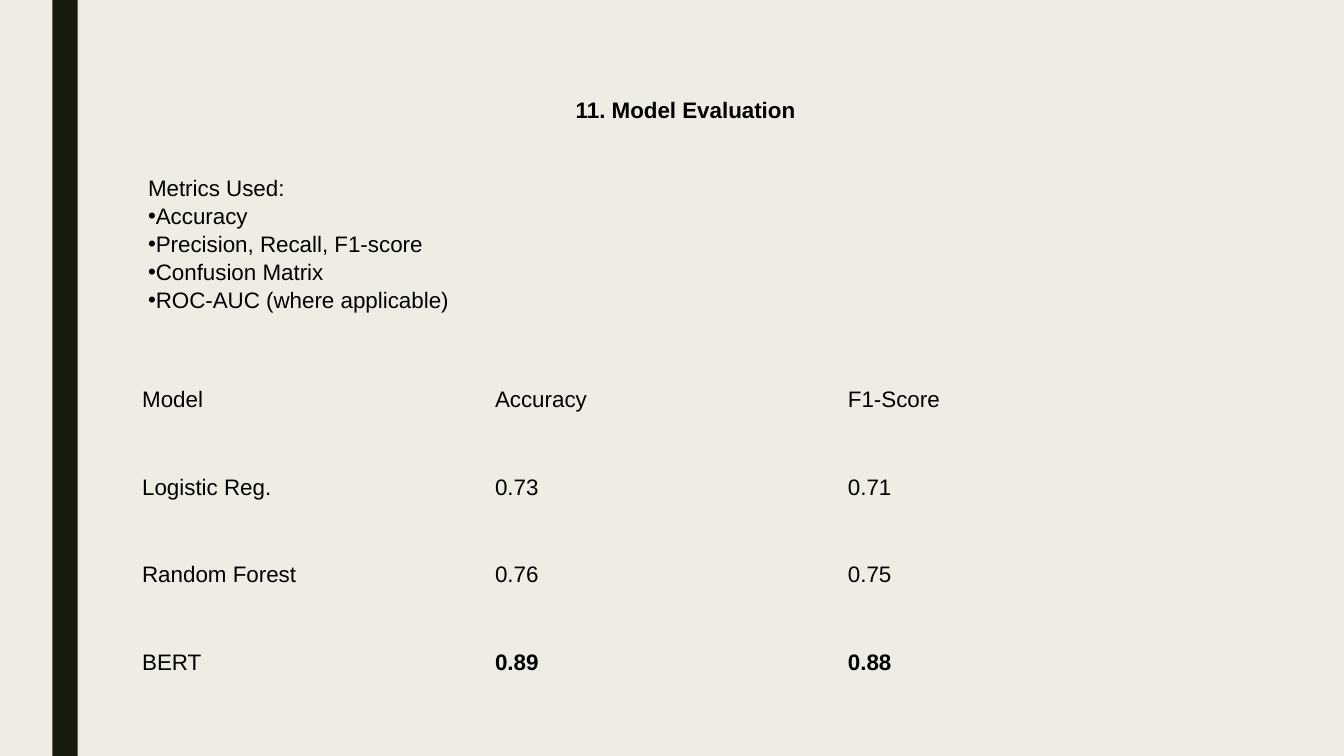
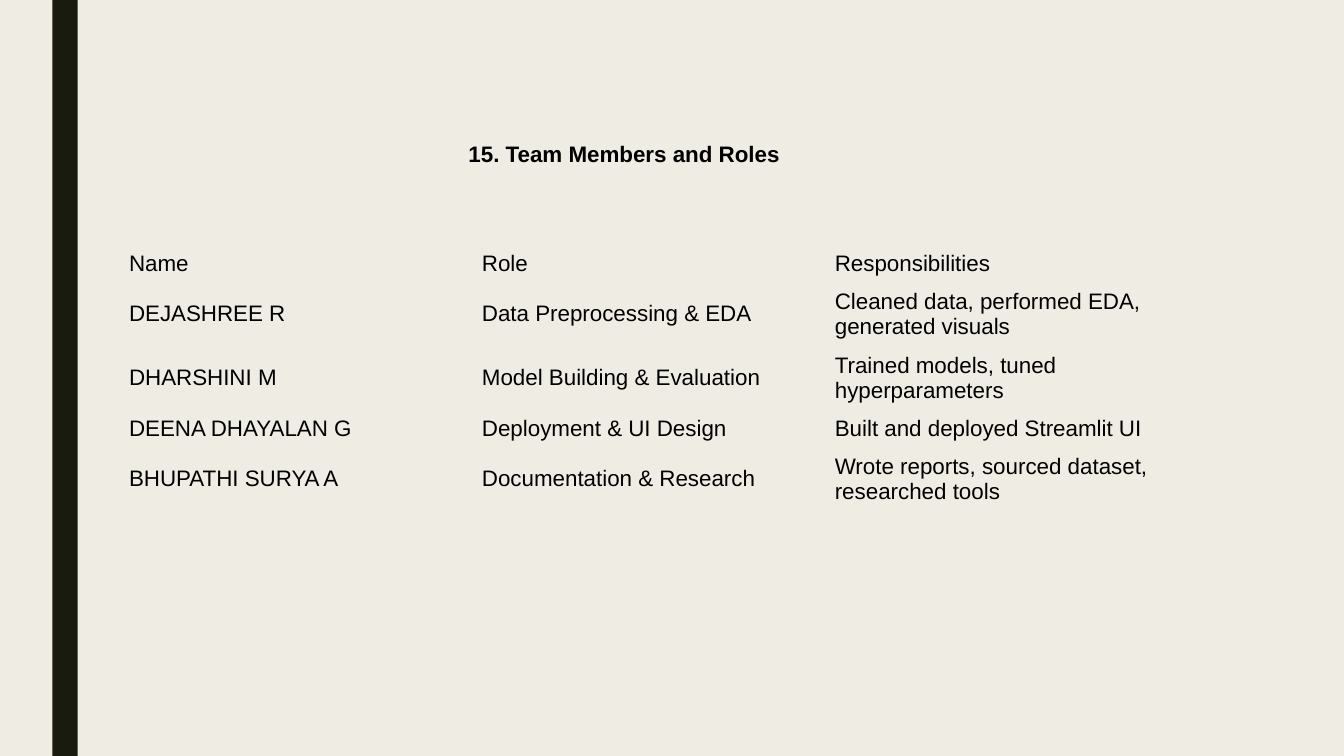
"""Build two slides: model evaluation and team roles."""
from dataclasses import dataclass
from lxml.etree import SubElement as Sub
from pptx import Presentation
from pptx.dml.color import RGBColor as RGB
from pptx.enum.shapes import MSO_SHAPE as Shape
from pptx.enum.text import MSO_ANCHOR as Anchor, PP_ALIGN as Align
from pptx.oxml.ns import qn
from pptx.util import Inches, Pt


@dataclass(frozen=True)
class Theme:
    paper: RGB = RGB.from_string("EFEDE3")
    band: RGB = RGB.from_string("191B0E")
    ink: RGB = RGB.from_string("000000")
    face: str = "Arial"
    size: int = 16
    lead: float = 1.05
    plain: str = "{2D5ABB26-0587-4C30-8999-92F81FD0307C}"


theme = Theme()


def style(para, bold=False):
    font = para.font
    font.name, font.size, font.bold = theme.face, Pt(theme.size), bold
    font.color.rgb = theme.ink


def write(slide, left, top, wide, high, lines):
    box = slide.shapes.add_textbox(Inches(left), Inches(top), Inches(wide), Inches(high))
    frame = box.text_frame
    frame.word_wrap = True
    frame.vertical_anchor = Anchor.MIDDLE
    frame.text = "\n".join(lines)
    for para in frame.paragraphs:
        para.line_spacing = theme.lead
    return frame.paragraphs


deck = Presentation()
deck.slide_width, deck.slide_height = Inches(13.33), Inches(7.5)
back = deck.slide_master.background.fill
back.solid()
back.fore_color.rgb = theme.paper

metrics = ["Metrics Used:", "Accuracy", "Precision, Recall, F1-score",
           "Confusion Matrix", "ROC-AUC (where applicable)"]
scores = [
    ("Model", "Accuracy", "F1-Score"),
    ("Logistic Reg.", "0.73", "0.71"),
    ("Random Forest", "0.76", "0.75"),
    ("BERT", "0.89", "0.88"),
]
team = [
    ("Name", "Role", "Responsibilities"),
    ("DEJASHREE R", "Data Preprocessing & EDA",
     "Cleaned data, performed EDA, generated visuals"),
    ("DHARSHINI M", "Model Building & Evaluation",
     "Trained models, tuned hyperparameters"),
    ("DEENA DHAYALAN G", "Deployment & UI Design",
     "Built and deployed Streamlit UI"),
    ("BHUPATHI SURYA A", "Documentation & Research",
     "Wrote reports, sourced dataset, researched tools"),
]
best = {"0.89", "0.88"}
pages = [
    ("11. Model Evaluation", (3.8, 0.9), metrics, scores, (1.31, 3.53),
     [0.87] * 4),
    ("15. Team Members and Roles", (3.19, 1.33), [], team, (1.18, 2.43),
     [0.37, 0.63, 0.63, 0.37, 0.63]),
]

for title, spot, notes, rows, (left, top), highs in pages:
    slide = deck.slides.add_slide(deck.slide_layouts[6])
    band = slide.shapes.add_shape(
        Shape.RECTANGLE, Inches(0.52), 0, Inches(0.25), deck.slide_height)
    band.shadow.inherit = False
    band.fill.solid()
    band.fill.fore_color.rgb = theme.band
    band.line.fill.background()

    head = write(slide, *spot, 6, 0.37, [title])[0]
    head.alignment = Align.CENTER
    style(head, True)

    if notes:
        for num, para in enumerate(write(slide, 1.37, 1.69, 6.77, 1.44, notes)):
            if num:
                props = para._p.get_or_add_pPr()
                props.set("marL", "0")
                props.set("indent", "0")
                Sub(props, qn("a:buFont"), typeface=theme.face)
                Sub(props, qn("a:buChar"), char="•")
            style(para)

    frame = slide.shapes.add_table(
        len(rows), 3, Inches(left), Inches(top), Inches(10.5), Inches(sum(highs)))
    for mark in frame.element.iter(qn("a:tableStyleId")):
        mark.text = theme.plain
    table = frame.table
    table.first_row = table.horz_banding = False
    for line, high, row in zip(table.rows, highs, rows):
        line.height = Inches(high)
        for cell, text in zip(line.cells, row):
            cell.text = text
            cell.fill.background()
            cell.vertical_anchor = Anchor.MIDDLE
            style(cell.text_frame.paragraphs[0], text in best)

deck.save("out.pptx")
